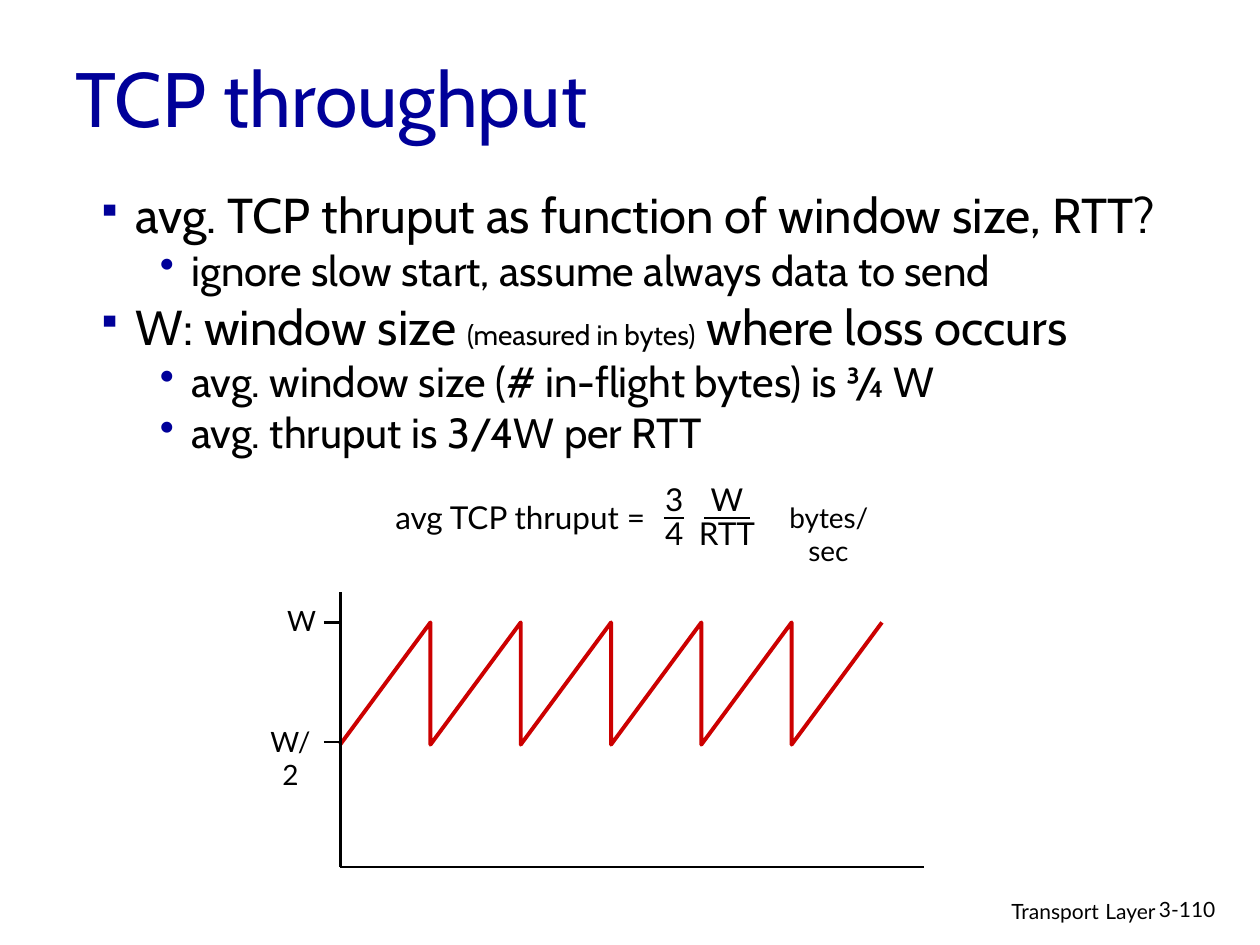
from lxml import etree
from pptx import Presentation
from pptx.dml.color import RGBColor
from pptx.enum.shapes import MSO_CONNECTOR
from pptx.enum.text import MSO_ANCHOR, PP_ALIGN
from pptx.oxml.ns import qn
from pptx.util import Inches, Pt

COLUMNS, ROWS = 100, 75
CELL = Inches(10) / COLUMNS
BLACK, BLUE, RED = "000000", "000099", "CC0000"

BULLETS = [
    (0, [("avg. TCP thruput as function of window size, RTT?", 28)]),
    (1, [("ignore slow start, assume always data to send", 24)]),
    (0, [("W: window size ", 28), ("(measured in bytes)", 16),
         (" where loss occurs", 28)]),
    (1, [("avg. window size (# in-flight bytes) is ¾ W", 24)]),
    (1, [("avg. thruput is 3/4W per RTT", 24)]),
]
# marker, its size in percent, left margin and hanging indent in cells,
# space before in points
LEVELS = [("▪", 70, 3.1, 3.1, 5.6), ("•", 100, 7.5, 2.5, 4.8)]


def cells(*counts):
    return [round(count * CELL) for count in counts]


def color(value):
    return RGBColor.from_string(value)


def set_format(target, **values):
    for key, value in values.items():
        setattr(target, key, value)


def add_runs(paragraph, runs, font_name, font_color=BLACK):
    for text, size in runs:
        run = paragraph.add_run()
        run.text = text
        set_format(run.font, name=font_name, size=Pt(size))
        run.font.color.rgb = color(font_color)


def add_label(slide, place, runs, align=PP_ALIGN.CENTER, wrap=False):
    frame = slide.shapes.add_textbox(*cells(*place)).text_frame
    frame.word_wrap = wrap
    paragraph = frame.paragraphs[0]
    paragraph.alignment = align
    add_runs(paragraph, runs, "Lato")


def add_rule(slide, start, end):
    rule = slide.shapes.add_connector(
        MSO_CONNECTOR.STRAIGHT, *cells(*start, *end))
    rule.line.color.rgb = color(BLACK)
    rule.line.width = Pt(1.5)
    etree.SubElement(rule._element.spPr, qn("a:effectLst"))


def add_title(slide, text):
    title = slide.shapes.title
    left, top, width, height = cells(5, 2.6, 85, 10.2)
    set_format(title, left=left, top=top, width=width, height=height)
    title.text_frame.vertical_anchor = MSO_ANCHOR.MIDDLE
    paragraph = title.text_frame.paragraphs[0]
    paragraph.alignment = PP_ALIGN.LEFT
    add_runs(paragraph, [(text, 44)], "Cabin", BLUE)


def set_bullet(paragraph, marker, percent, margin, hanging):
    properties = paragraph._p.get_or_add_pPr()
    left, indent = cells(margin, -hanging)
    properties.set("marL", str(left))
    properties.set("indent", str(indent))
    bullet_color = etree.SubElement(properties, qn("a:buClr"))
    etree.SubElement(bullet_color, qn("a:srgbClr"), val=BLUE)
    etree.SubElement(properties, qn("a:buSzPct"), val=str(percent * 1000))
    etree.SubElement(properties, qn("a:buChar"), char=marker)


def add_bullets(slide):
    frame = slide.shapes.add_textbox(*cells(6.7, 14.9, 90.4, 50.8)).text_frame
    frame.word_wrap = True
    for index, (level, runs) in enumerate(BULLETS):
        paragraph = frame.add_paragraph() if index else frame.paragraphs[0]
        *bullet, space = LEVELS[level]
        set_bullet(paragraph, *bullet)
        set_format(paragraph, level=level, line_spacing=0.85,
                   space_before=Pt(space if index else 0))
        add_runs(paragraph, runs, "Cabin")


def add_formula(slide):
    add_label(slide, (29.6, 39, 23.4, 4), [("avg TCP thruput =", 18)])
    # numerator, denominator, center, bar length, width of the labels
    fractions = [("3", "4", 53.5, 1.6, 3.4), ("W", "RTT", 57.7, 3.6, 9)]
    for numerator, denominator, center, bar, width in fractions:
        for text, top in ((numerator, 37.6), (denominator, 40.3)):
            add_label(slide, (center - width / 2, top, width, 4), [(text, 18)])
        add_rule(slide, (center - bar / 2, 41.1), (center + bar / 2, 41.1))
    add_label(slide, (60.1, 39.2, 11.3, 3.7), [("bytes/sec", 16)], wrap=True)


def add_sawtooth(slide, left, right, peak, trough, teeth):
    pitch = (right - left) / teeth
    points = []
    for tooth in range(teeth):
        points.append(cells(left + tooth * pitch, trough))
        points.append(cells(left + (tooth + 1) * pitch, peak))
    builder = slide.shapes.build_freeform(*points[0])
    builder.add_line_segments(points[1:], close=False)
    sawtooth = builder.convert_to_shape()
    sawtooth.shadow.inherit = False
    sawtooth.fill.background()
    sawtooth.line.color.rgb = color(RED)
    sawtooth.line.width = Pt(2.25)


def add_window_plot(slide):
    axis, baseline, full, half = 27, 68.8, 49.4, 58.9
    add_sawtooth(slide, axis, 70, full, half + 0.2, teeth=6)
    add_rule(slide, (axis, baseline), (73.3, baseline))
    add_rule(slide, (axis, 47), (axis, baseline))
    for level in (full, half):
        add_rule(slide, (axis - 1.3, level), (axis, level))
    add_label(slide, (21.8, full - 2, 4, 3.7), [("W", 16)])
    add_label(slide, (20, half - 1.9, 6.1, 3.7), [("W/2", 16)], wrap=True)


def add_footer(slide):
    add_label(slide, (61, 70.5, 31.7, 3.1),
              [("Transport", 12), (" ", 14), ("Layer", 12)],
              PP_ALIGN.RIGHT, wrap=True)
    add_label(slide, (91, 70.7, 7.4, 3), [("3-110", 12)],
              PP_ALIGN.LEFT, wrap=True)


def main():
    presentation = Presentation()
    width, height = cells(COLUMNS, ROWS)
    set_format(presentation, slide_width=width, slide_height=height)
    slide = presentation.slides.add_slide(presentation.slide_layouts[5])
    add_footer(slide)
    add_title(slide, "TCP throughput")
    add_bullets(slide)
    add_window_plot(slide)
    add_formula(slide)
    presentation.save("out.pptx")


if __name__ == "__main__":
    main()
